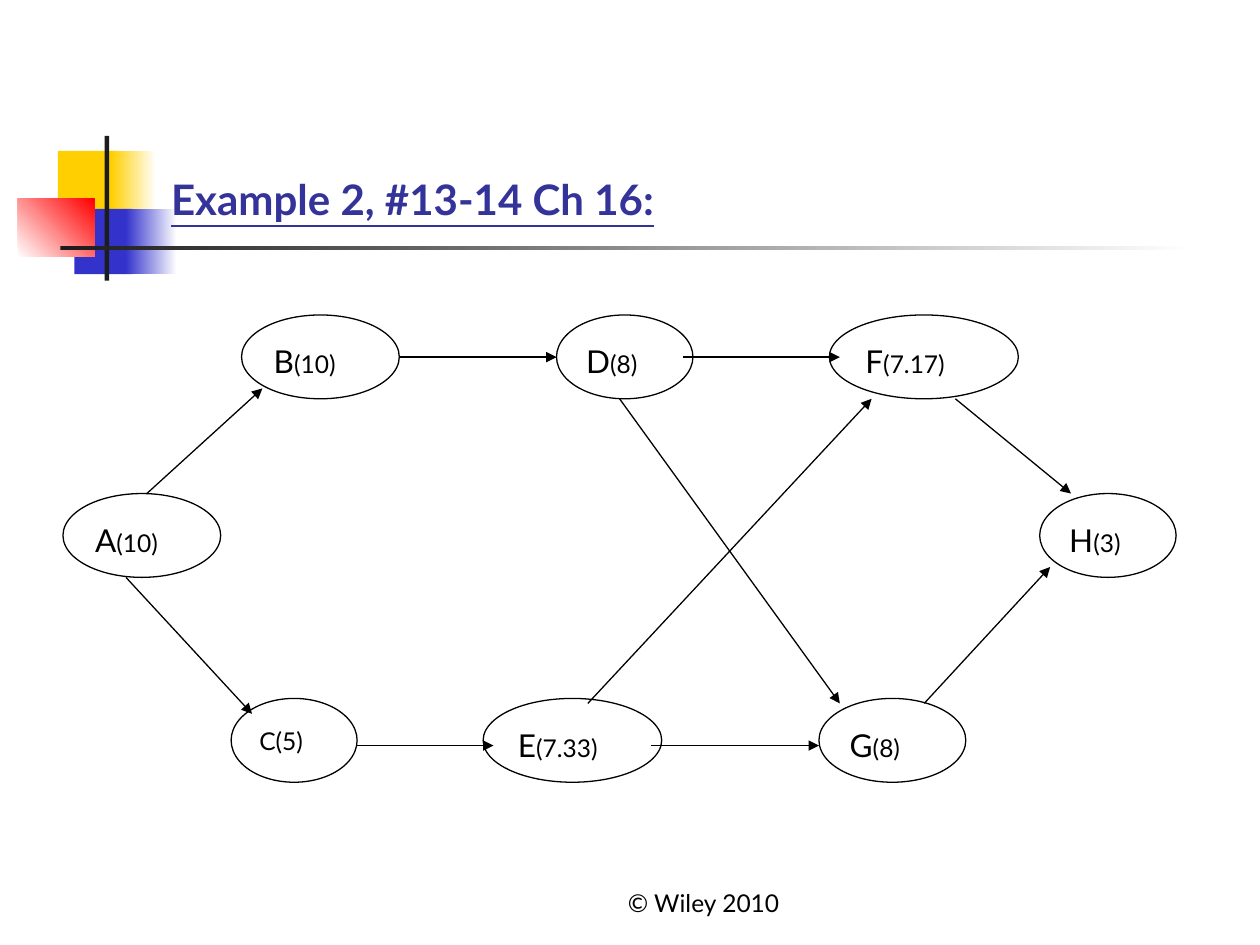
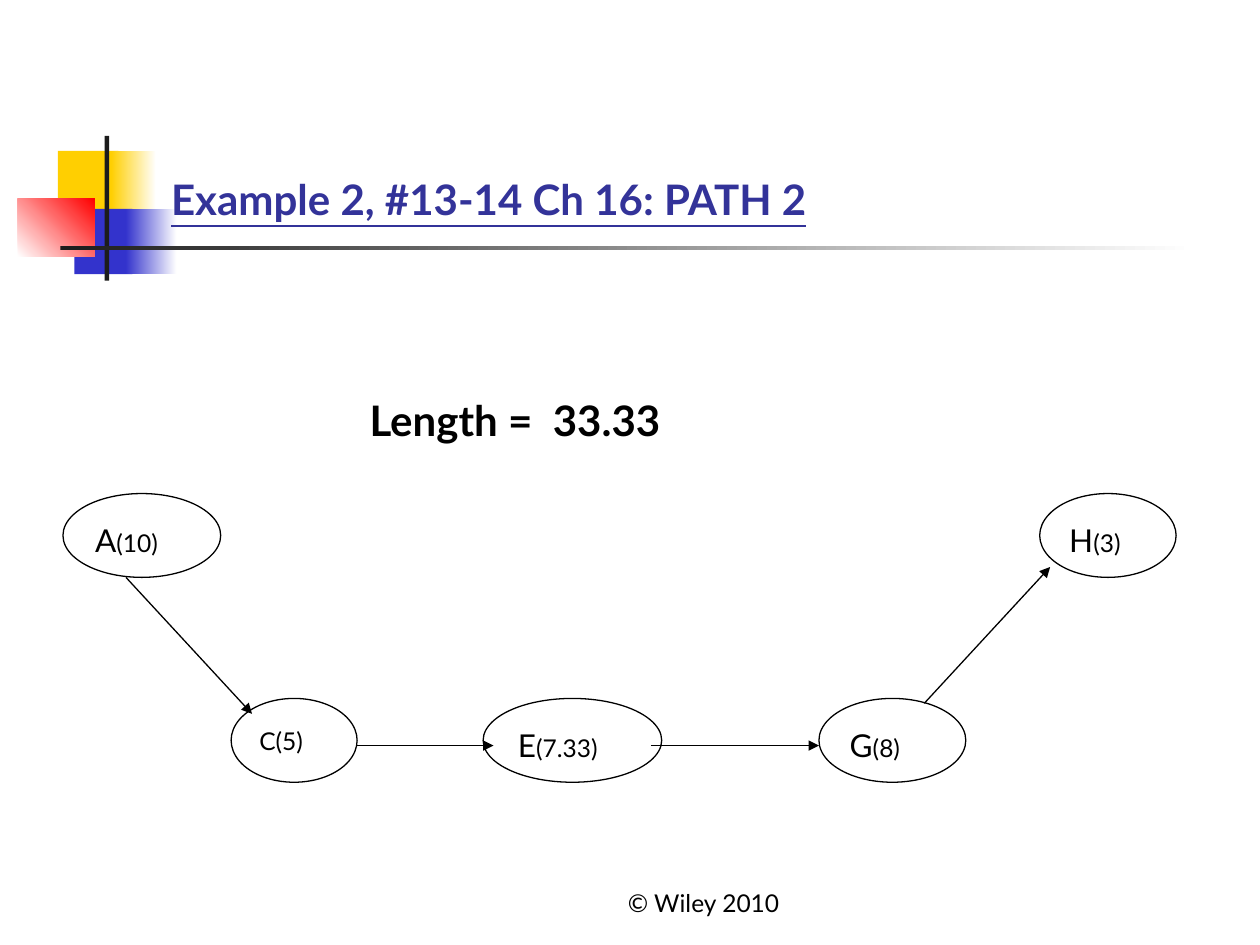
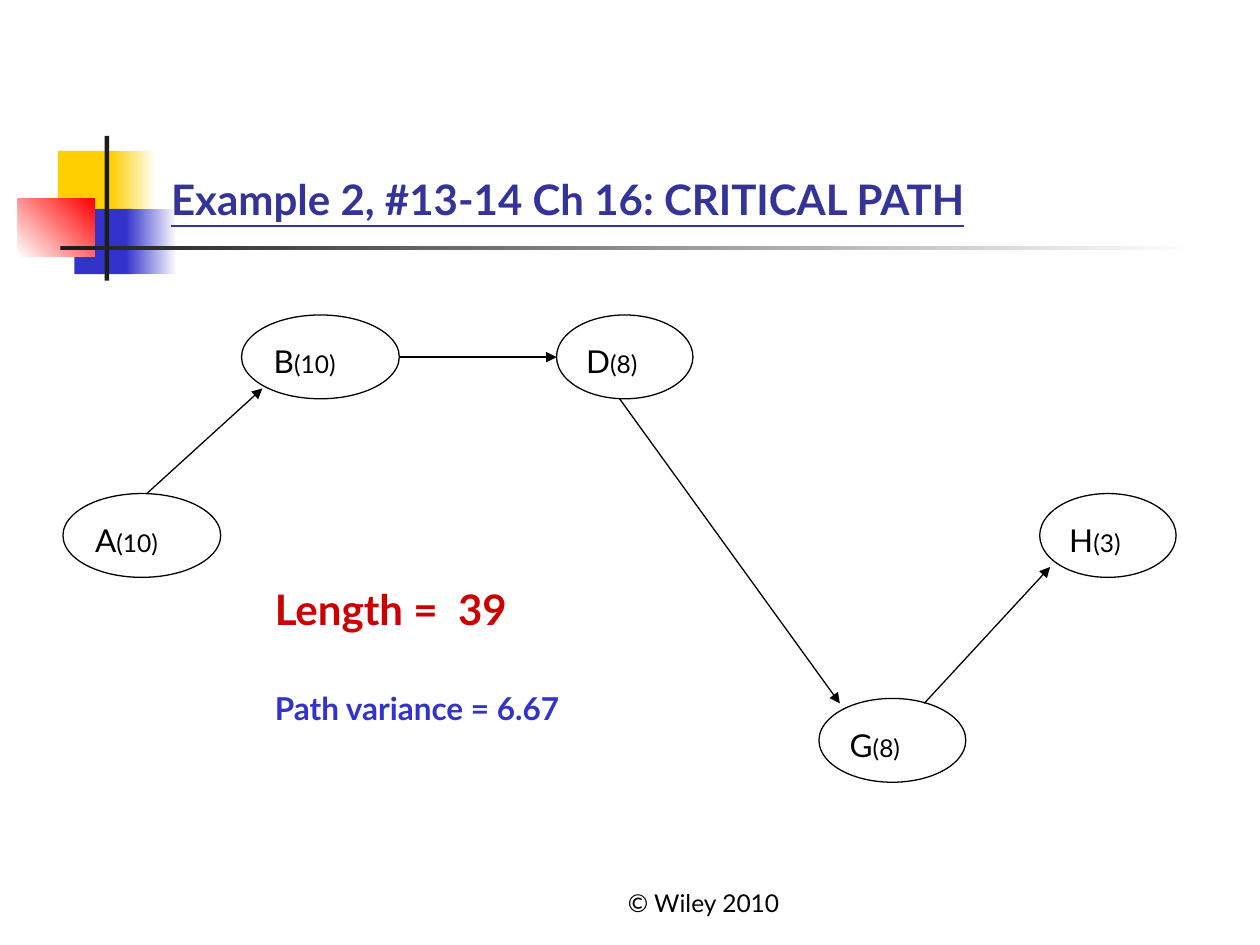
from pptx import Presentation
from pptx.dml.color import RGBColor
from pptx.enum.shapes import MSO_CONNECTOR as Connector, MSO_SHAPE as Shape
from pptx.enum.text import MSO_ANCHOR as Anchor, PP_ALIGN as Align
from pptx.oxml.ns import qn
from pptx.util import Cm, Pt
from lxml.etree import SubElement

FONT = "Lato"
BLACK, WHITE = "000000", "FFFFFF"
YELLOW, BLUE, RED, CHARCOAL = "FFCF01", "3333CC", "FF0000", "1C1C1C"
TITLE_BLUE, CRITICAL_RED = "333399", "CC0000"

# Boxes are left, top, width, height in cm
MOTIF_BOX = (0.36, 2.74, 23.72, 2.92)
TITLE_BOX = (3.2, 0.58, 21.64, 4.06)
FOOTER_BOX = (10.16, 17.35, 8.05, 1.27)
NETWORK_BOX = (1.27, 6.35, 22.44, 9.42)

# Parts of the motif: left, top, width, height, colours, gradient angle
MOTIF = [
    (0.81, 0.3, 1.22, 1.32, [YELLOW], 0),
    (1.88, 0.3, 0.91, 1.32, [YELLOW, WHITE], 0),
    (1.14, 1.47, 1.17, 1.32, [BLUE], 0),
    (2.18, 1.47, 1.02, 1.32, [BLUE, WHITE], 0),
    (0, 1.27, 1.55, 1.17, [WHITE, RED], 45),
    (1.75, 0, 0.09, 2.92, [CHARCOAL], 0),
    (0.86, 2.21, 22.86, 0.09, [CHARCOAL, WHITE], 0),
]

NODE_HEIGHT = 1.69
UPPER, MIDDLE, LOWER = 0, 3.6, 7.73
# Activity: left, row, width, expected duration
ACTIVITIES = {
    "A": (0, MIDDLE, 3.18, "(10)"),
    "B": (3.6, UPPER, 3.18, "(10)"),
    "D": (9.95, UPPER, 2.75, "(8)"),
    "F": (15.45, UPPER, 3.81, "(7.17)"),
    "C": (3.39, LOWER, 2.54, "(5)"),
    "E": (8.47, LOWER, 3.6, "(7.33)"),
    "G": (15.24, LOWER, 2.96, "(8)"),
    "H": (19.69, MIDDLE, 2.75, "(3)"),
}
# Activity pair: start x, y, end x, y
DEPENDENCIES = {
    "AB": (1.69, 3.6, 4.02, 1.48),
    "AC": (1.27, 5.29, 3.81, 8.04),
    "BD": (6.77, 0.85, 9.95, 0.85),
    "CE": (5.93, 8.68, 8.68, 8.68),
    "DF": (12.49, 0.85, 15.66, 0.85),
    "EG": (11.85, 8.68, 15.24, 8.68),
    "FH": (17.99, 1.69, 20.32, 3.6),
    "GH": (17.36, 7.83, 19.9, 5.08),
    "DG": (11.22, 1.69, 15.66, 7.83),
    "EF": (10.58, 7.83, 16.3, 1.69),
}


def rgb(color):
    return RGBColor.from_string(color)


def lengths(*values):
    return [Cm(value) for value in values]


def add_text(shapes, box, runs, color=BLACK, bold=False, underline=False,
             align=Align.LEFT, anchor=Anchor.TOP):
    """Add a one-paragraph text box; runs are (text, size) pairs."""
    frame = shapes.add_textbox(*lengths(*box)).text_frame
    frame.word_wrap = True
    frame.vertical_anchor = anchor
    paragraph = frame.paragraphs[0]
    paragraph.alignment = align
    for text, size in runs:
        run = paragraph.add_run()
        run.text = text
        font = run.font
        font.name, font.size = FONT, Pt(size)
        font.bold, font.underline = bold, underline
        font.color.rgb = rgb(color)


def add_motif(slide, box):
    for left, top, width, height, colors, angle in MOTIF:
        part = slide.shapes.add_shape(
            Shape.RECTANGLE,
            *lengths(box[0] + left, box[1] + top, width, height))
        part.shadow.inherit = False
        part.line.fill.background()
        if len(colors) == 1:
            part.fill.solid()
            part.fill.fore_color.rgb = rgb(colors[0])
        else:
            part.fill.gradient()
            part.fill.gradient_angle = angle
            for stop, color in zip(part.fill.gradient_stops, colors):
                stop.color.rgb = rgb(color)


def add_activity(slide, box, activity):
    left, row, width, duration = ACTIVITIES[activity]
    left, top = box[0] + left, box[1] + row
    shapes = slide.shapes.add_group_shape().shapes
    oval = shapes.add_shape(Shape.OVAL, *lengths(left, top, width, NODE_HEIGHT))
    oval.shadow.inherit = False
    oval.fill.background()
    oval.line.color.rgb = rgb(BLACK)
    oval.line.width = Pt(0.75)
    if activity == "C":
        runs, height = [(activity + duration, 14)], 0.86
    else:
        runs, height = [(activity, 18), (duration, 14)], 1.02
    label_box = (left + width / 8, top + NODE_HEIGHT / 4, width * 5 / 8, height)
    add_text(shapes, label_box, runs)


def add_dependency(slide, box, ends):
    x1, y1, x2, y2 = ends
    left, top = box[:2]
    arrow = slide.shapes.add_connector(
        Connector.STRAIGHT, *lengths(left + x1, top + y1, left + x2, top + y2))
    arrow.line.color.rgb = rgb(BLACK)
    arrow.line.width = Pt(0.75)
    SubElement(arrow.line._get_or_add_ln(), qn("a:tailEnd"), type="triangle")
    SubElement(arrow._element.spPr, qn("a:effectLst"))


def add_network(slide, box, activities):
    """Draw the activities and every dependency between two of them."""
    for activity in activities:
        add_activity(slide, box, activity)
    for (start, end), ends in DEPENDENCIES.items():
        if start in activities and end in activities:
            add_dependency(slide, box, ends)


def add_network_slide(deck, title, activities):
    slide = deck.slides.add_slide(deck.slide_layouts[6])
    add_motif(slide, MOTIF_BOX)
    add_text(slide.shapes, FOOTER_BOX, [("© Wiley 2010", 14)],
             align=Align.CENTER, anchor=Anchor.BOTTOM)
    add_text(slide.shapes, TITLE_BOX, [(title, 24)], TITLE_BLUE,
             bold=True, underline=True, anchor=Anchor.BOTTOM)
    add_network(slide, NETWORK_BOX, activities)
    return slide


def main():
    deck = Presentation()
    deck.slide_width, deck.slide_height = lengths(25.4, 19.05)
    heading = "Example 2, #13-14 Ch 16:"

    add_network_slide(deck, heading, "ABDFCEGH")

    second = add_network_slide(deck, f"{heading} PATH 2", "ACEGH")
    add_text(second.shapes, (7.2, 7.83, 7.83, 1.27),
             [("Length =  33.33", 24)], bold=True)

    critical = add_network_slide(deck, f"{heading} CRITICAL PATH", "ABDGH")
    add_text(critical.shapes, (5.29, 11.64, 7.83, 1.27),
             [("Length =  39", 24)], CRITICAL_RED, bold=True)
    add_text(critical.shapes, (5.29, 13.76, 7.83, 1.02),
             [("Path variance = 6.67", 18)], BLUE, bold=True)

    deck.save("out.pptx")


if __name__ == "__main__":
    main()
